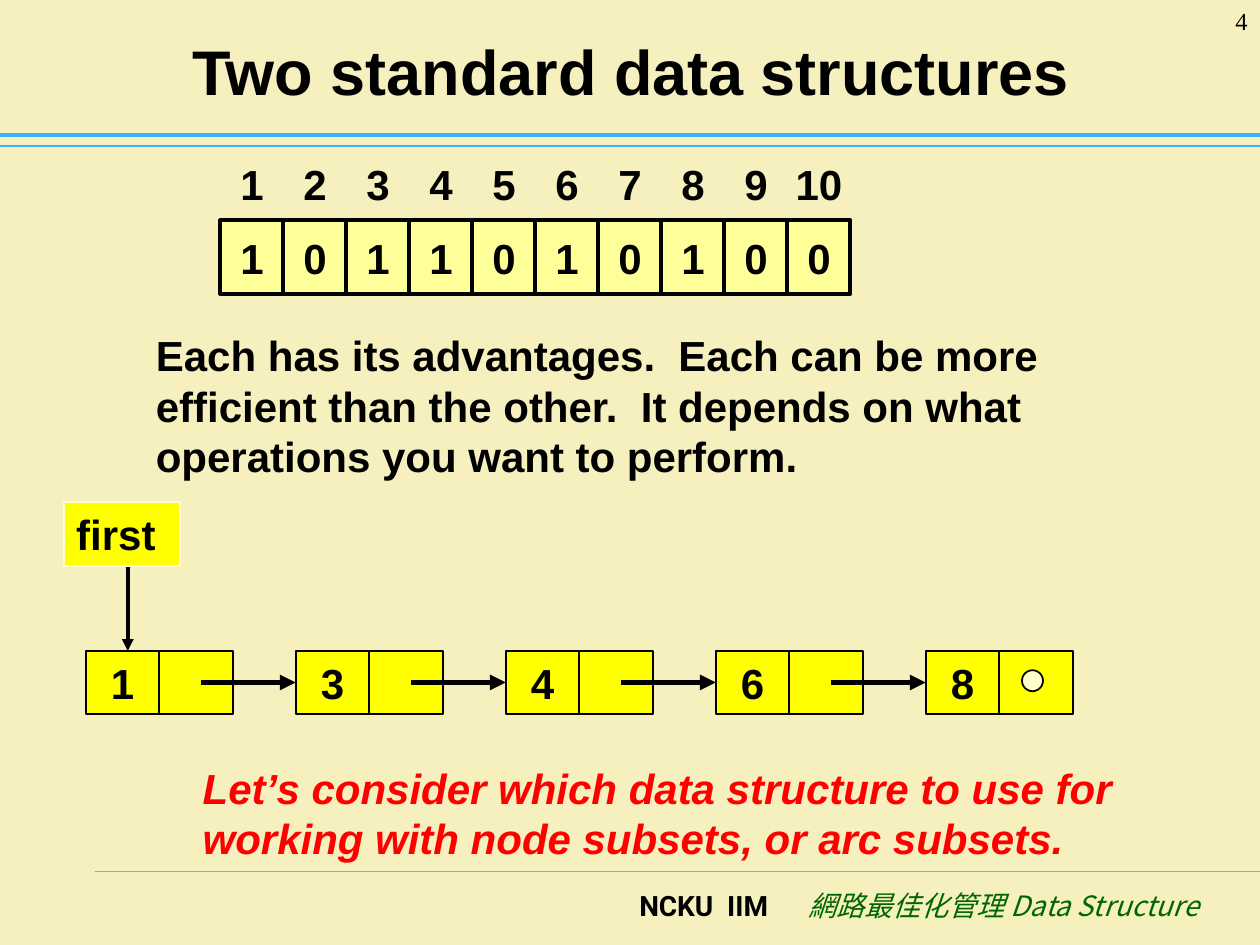
from dataclasses import dataclass
from lxml.etree import SubElement
from pptx import Presentation
from pptx.dml.color import RGBColor as RGB
from pptx.enum.shapes import MSO_CONNECTOR as Connector, MSO_SHAPE as Shape
from pptx.enum.text import MSO_ANCHOR as Anchor, PP_ALIGN as Align
from pptx.oxml.ns import qn
from pptx.util import Pt


@dataclass(frozen=True)
class Theme:
    paper: RGB = RGB(0xF5, 0xF0, 0xBD)
    ink: RGB = RGB(0, 0, 0)
    red: RGB = RGB(0xFF, 0, 0)
    green: RGB = RGB(0, 0x66, 0)
    rule: RGB = RGB(0x3D, 0xB0, 0xFF)
    footer_rule: RGB = RGB(0x33, 0xCC, 0xFF)
    cell: RGB = RGB(0xFF, 0xFF, 0x99)
    node: RGB = RGB(0xFF, 0xFF, 0)
    pale: RGB = RGB(0xFF, 0xFF, 0xCC)
    title: int = 36
    body: int = 24
    footer: int = 16
    number: int = 14


theme = Theme()
deck = Presentation()
deck.slide_width, deck.slide_height = Pt(720), Pt(540)
page = deck.slides.add_slide(deck.slide_layouts[6])
page.background.fill.solid()
page.background.fill.fore_color.rgb = theme.paper


def add_box(left, top, width, height, text="", fill=None, line=theme.ink, weight=1,
            kind=Shape.RECTANGLE, size=theme.body, color=theme.ink, face="Arial",
            bold=True, italic=False, align=Align.CENTER, anchor=Anchor.MIDDLE, wrap=False):
    """Add a text box, or a filled and outlined shape when a fill is given."""
    frame = [Pt(value) for value in (left, top, width, height)]
    if fill is None:
        box = page.shapes.add_textbox(*frame)
    else:
        box = page.shapes.add_shape(kind, *frame)
        box.shadow.inherit = False
        box.fill.solid()
        box.fill.fore_color.rgb = fill
        box.line.color.rgb = line
        box.line.width = Pt(weight)
    if text:
        box.text_frame.word_wrap = wrap
        box.text_frame.vertical_anchor = anchor
        if not wrap:  # narrow cells give their full width to the label
            box.text_frame.margin_left = box.text_frame.margin_right = Pt(0)
        para = box.text_frame.paragraphs[0]
        para.text = text
        para.alignment = align
        span = para.runs[0]
        span.font.name, span.font.size = face, Pt(size)
        span.font.bold, span.font.italic = bold, italic
        span.font.color.rgb = color
        SubElement(span.font._element, qn("a:ea")).set("typeface", face)
    return box


def add_line(x1, y1, x2, y2, color=theme.ink, weight=0.75, arrow=False):
    line = page.shapes.add_connector(Connector.STRAIGHT, Pt(x1), Pt(y1), Pt(x2), Pt(y2))
    line.line.color.rgb = color
    line.line.width = Pt(weight)
    if arrow:
        SubElement(line.line._get_or_add_ln(), qn("a:tailEnd")).set("type", "triangle")
    SubElement(line._element.spPr, qn("a:effectLst"))
    return line


# Rules and footer
add_line(54, 498, 720, 498, theme.footer_rule)
add_line(0, 83.5, 720, 83.5, theme.rule)
add_line(0, 77, 720, 77, theme.rule, 2.5)
add_box(346, 504, 100, 36, "NCKU  IIM", size=theme.footer, face="Roboto",
        align=Align.RIGHT, anchor=Anchor.TOP, wrap=True)
add_box(442, 504, 250, 36, "網路最佳化管理 Data Structure", size=theme.footer,
        color=theme.green, face="Noto Sans CJK SC", bold=False, italic=True,
        align=Align.RIGHT, anchor=Anchor.TOP, wrap=True)

# Title
add_box(36.5, 9, 648, 62.5, "Two standard data structures", size=theme.title, wrap=True)

# Bit array with its indices
for index, bit in enumerate("1011010100"):
    left = 126 + 36 * index
    add_box(left, 126, 36, 42, bit, fill=theme.cell, weight=2.25)
    add_box(left, 84, 36, 42, str(index + 1))

# Comments
add_box(82, 185, 546, 94, "Each has its advantages.  Each can be more efficient than "
        "the other.  It depends on what operations you want to perform.",
        align=Align.LEFT, anchor=Anchor.TOP, wrap=True)
add_box(108.75, 432, 570, 65, "Let’s consider which data structure to use for working "
        "with node subsets, or arc subsets.", color=theme.red, italic=True,
        align=Align.LEFT, anchor=Anchor.TOP, wrap=True)

# Linked list: a value and a pointer in each node
node_left, node_top, node_width, node_height, pitch = 49, 372, 42, 36, 120
middle = node_top + node_height / 2
values = []
for index, value in enumerate("13468"):
    left = node_left + pitch * index
    values.append(add_box(left, node_top, node_width, node_height, value, fill=theme.node))
    add_box(left + node_width, node_top, node_width, node_height, fill=theme.node)
for index, target in enumerate(values[1:]):
    left = node_left + pitch * index
    arrow = add_line(left + 66, middle, left + pitch, middle, weight=3, arrow=True)
    arrow.end_connect(target, 1)

# Head of the list and its end mark
add_box(36.5, 287, 66.5, 36.5, "first", fill=theme.node, line=theme.pale,
        align=Align.LEFT, anchor=Anchor.TOP, wrap=True)
add_line(73, 324, 73, node_top, weight=2.25, arrow=True)
add_box(584, 383, 12, 12, fill=theme.pale, kind=Shape.OVAL)

# Slide number
add_box(660, 0, 60, 36, "4", size=theme.number, face="Times New Roman", bold=False,
        align=Align.RIGHT, anchor=Anchor.TOP, wrap=True)

deck.save("out.pptx")
